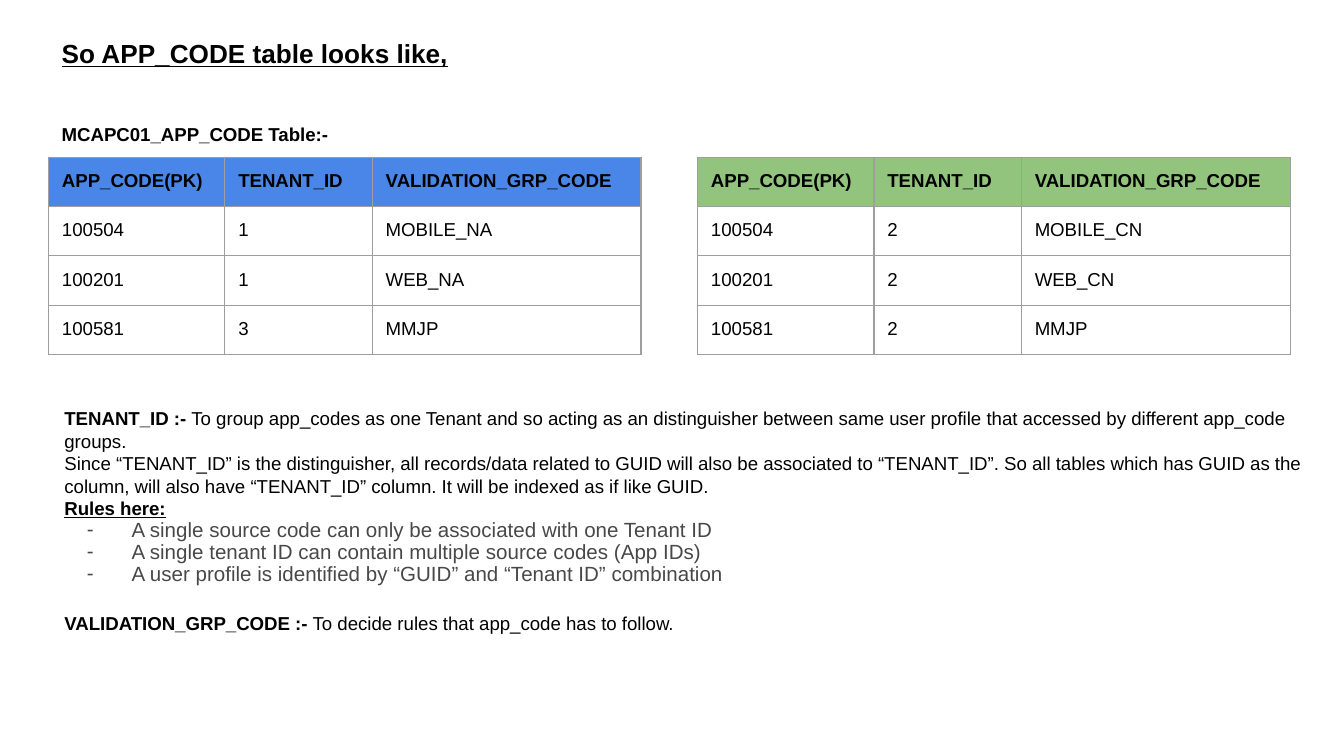
from lxml import etree
from pptx import Presentation
from pptx import util as u
from pptx.dml.color import RGBColor
from pptx.oxml import ns

INSET = 7.2
BLACK, GREY, BORDER = "000000", "474847", "9E9E9E"
HEADERS = ["APP_CODE(PK)", "TENANT_ID", "VALIDATION_GRP_CODE"]
COLUMN_WIDTHS = [94.5, 79, 144]
ROW_HEIGHT = 25.2


def color(value):
    """Turn a hex string into a colour."""
    return RGBColor.from_string(value)


def add_span(para, words, size=10, fill=BLACK, bold=False, underline=False):
    """Append formatted text to a paragraph."""
    span = para.add_run()
    span.text = words
    font = span.font
    font.name, font.size = "Arial", u.Pt(size)
    font.bold, font.underline = bold, underline
    font.color.rgb = color(fill)


def set_margins(target, top=INSET):
    """Give a text frame or cell its inner margins."""
    target.margin_left = target.margin_right = u.Pt(INSET)
    target.margin_top, target.margin_bottom = u.Pt(top), u.Pt(INSET)


def add_frame(page, left, top, width, height, inset=INSET):
    """Add a wrapping text box and return its text frame."""
    box = page.shapes.add_textbox(*map(u.Pt, (left, top, width, height)))
    frame = box.text_frame
    frame.word_wrap = True
    set_margins(frame, inset)
    return frame


def add_dash(para):
    """Make a paragraph a dashed list item with a hanging indent."""
    props = para._p.get_or_add_pPr()
    props.set("marL", str(u.Pt(36)))
    props.set("indent", str(u.Pt(-24)))
    tint = etree.SubElement(props, ns.qn("a:buClr"))
    etree.SubElement(tint, ns.qn("a:srgbClr"), val=GREY)
    etree.SubElement(props, ns.qn("a:buFont"), typeface="Arial")
    etree.SubElement(props, ns.qn("a:buChar"), char="-")
    para.line_spacing = 0.9


def add_borders(cell):
    """Draw a thin line on each side of a cell."""
    props = cell._tc.get_or_add_tcPr()
    for index, side in enumerate(("a:lnL", "a:lnR", "a:lnT", "a:lnB")):
        line = etree.Element(ns.qn(side), w=str(u.Pt(0.75)))
        fill = etree.SubElement(line, ns.qn("a:solidFill"))
        etree.SubElement(fill, ns.qn("a:srgbClr"), val=BORDER)
        props.insert(index, line)


def add_heading(page, left, top, width, height):
    """Write the slide title and the caption of the tables."""
    frame = add_frame(page, left, top, width, height, inset=8)
    add_span(frame.paragraphs[0], "So APP_CODE table looks like,", size=14, bold=True, underline=True)
    caption = frame.add_paragraph()
    caption.space_before = u.Pt(29)
    add_span(caption, "MCAPC01_APP_CODE Table:-", bold=True)


def add_code_table(page, left, top, header_fill, records):
    """Build one app code table with a coloured header row."""
    rows = [HEADERS, *records]
    size = (sum(COLUMN_WIDTHS), ROW_HEIGHT * len(rows))
    table = page.shapes.add_table(len(rows), len(HEADERS), *map(u.Pt, (left, top, *size))).table
    table.first_row = table.horz_banding = False
    for column, width in zip(table.columns, COLUMN_WIDTHS):
        column.width = u.Pt(width)
    for row_index, values in enumerate(rows):
        table.rows[row_index].height = u.Pt(ROW_HEIGHT)
        for column_index, value in enumerate(values):
            cell = table.cell(row_index, column_index)
            set_margins(cell)
            if row_index == 0:
                cell.fill.solid()
                cell.fill.fore_color.rgb = color(header_fill)
            else:
                cell.fill.background()
            add_borders(cell)
            add_span(cell.text_frame.paragraphs[0], value, bold=row_index == 0)


def add_explanation(page, left, top, width, height):
    """Explain the columns and list the tenant rules."""
    frame = add_frame(page, left, top, width, height)
    tenant = frame.paragraphs[0]
    add_span(tenant, "TENANT_ID :- ", bold=True)
    add_span(tenant, "To group app_codes as one Tenant and so acting as an distinguisher between "
             "same user profile that accessed by different app_code groups.")
    add_span(frame.add_paragraph(), "Since “TENANT_ID” is the distinguisher, all records/data related to "
             "GUID will also be associated to “TENANT_ID”. So all tables which has GUID as the column, "
             "will also have “TENANT_ID” column. It will be indexed as if like GUID.")
    add_span(frame.add_paragraph(), "Rules here:", bold=True, underline=True)
    for rule in ("A single source code can only be associated with one Tenant ID",
                 "A single tenant ID can contain multiple source codes (App IDs)",
                 "A user profile is identified by “GUID” and “Tenant ID” combination"):
        para = frame.add_paragraph()
        add_dash(para)
        add_span(para, rule, size=11, fill=GREY)
    group = frame.add_paragraph()
    group.space_before = u.Pt(14)
    add_span(group, "VALIDATION_GRP_CODE :- ", bold=True)
    add_span(group, "To decide rules that app_code has to follow.")


def main():
    """Build and save the slide."""
    deck = Presentation()
    deck.slide_width, deck.slide_height = u.Pt(720), u.Pt(405)
    page = deck.slides.add_slide(deck.slide_layouts[6])
    add_heading(page, 26, 12.2, 689, 185)
    add_code_table(page, 26, 84.2, "4A86E8",
                   [("100504", "1", "MOBILE_NA"), ("100201", "1", "WEB_NA"), ("100581", "3", "MMJP")])
    add_code_table(page, 373.7, 84.2, "93C47D",
                   [("100504", "2", "MOBILE_CN"), ("100201", "2", "WEB_CN"), ("100581", "2", "MMJP")])
    add_explanation(page, 27.4, 211, 686, 180)
    deck.save("out.pptx")


if __name__ == "__main__":
    main()
